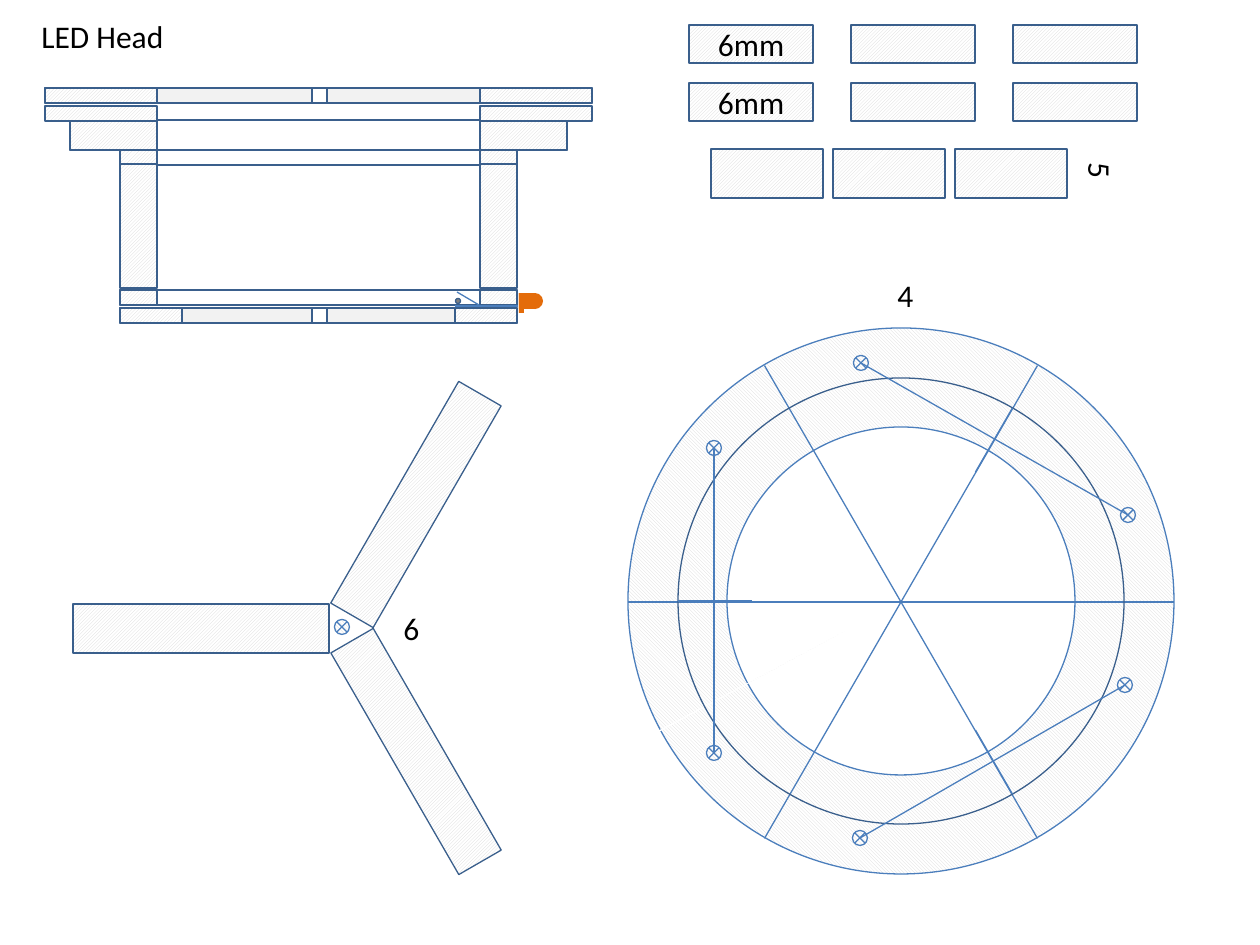
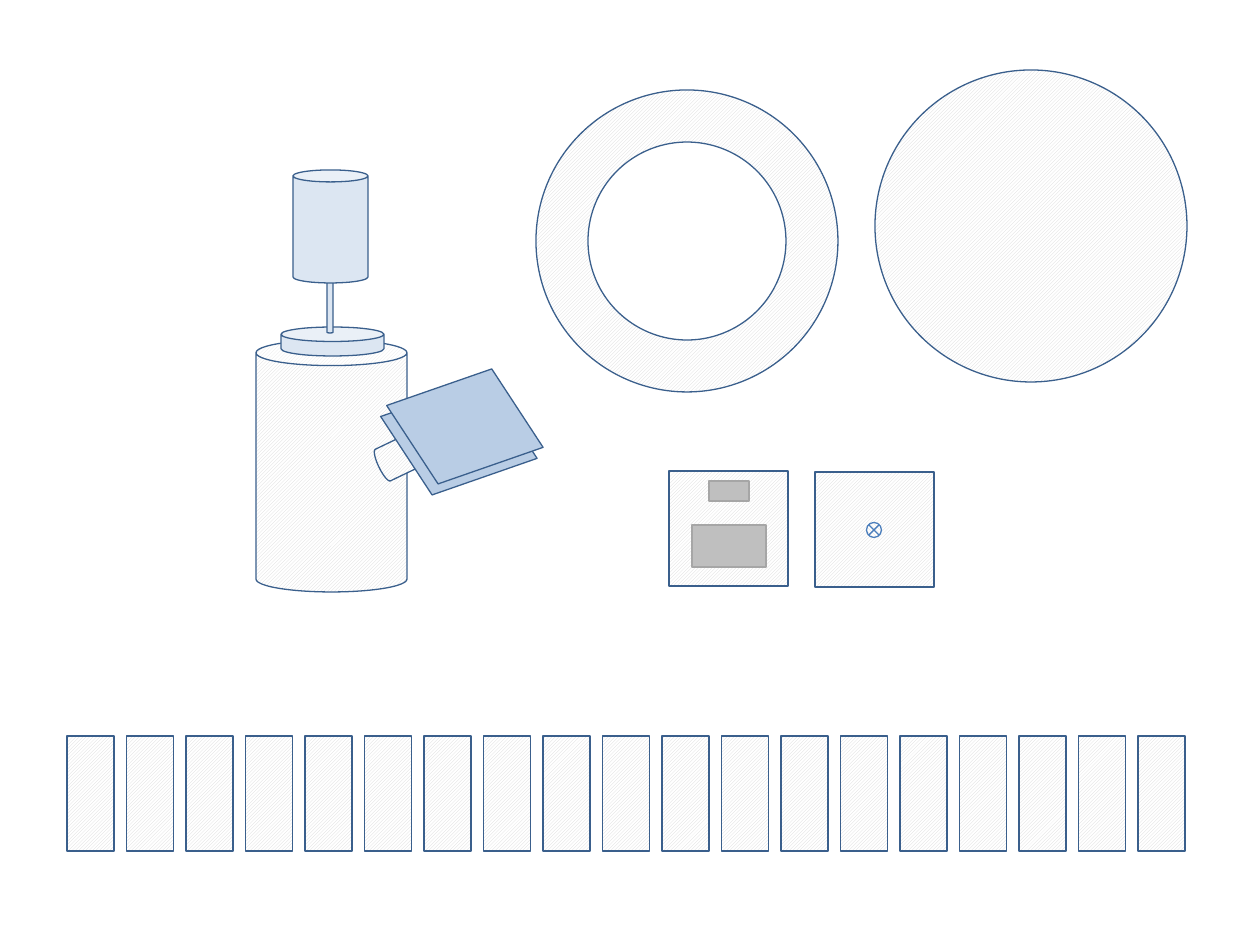
import math
import pptx
import pptx.util
import pptx.dml.color
import pptx.enum.dml
import pptx.enum.shapes
import pptx.enum.text
import pptx.oxml

PX = 914400 / 126
FONT = "Calibri"
HUES = {
    "white": "FFFFFF", "hatch": "D9D9D9", "pale": "F2F2F2", "edge": "3A5F8C",
    "wire": "4B7EBC", "ink": "000000", "lamp": "E46C0A", "dot": "808080",
    "ice": "DCE6F2", "panel": "B9CDE5", "pad": "BFBFBF", "rim": "A6A6A6",
}
DIAG = pptx.enum.dml.MSO_PATTERN
HATCH = {"up": DIAG.LIGHT_UPWARD_DIAGONAL, "down": DIAG.LIGHT_DOWNWARD_DIAGONAL}
KIND = pptx.enum.shapes.MSO_SHAPE
RECT, OVAL, CAN = KIND.RECTANGLE, KIND.OVAL, KIND.CAN


def px(n):
    return pptx.util.Emu(round(n * PX))


def hue(name):
    return pptx.dml.color.RGBColor.from_string(HUES[name])


def paint(fill, name):
    """Apply a hatch, a plain colour, or no fill."""
    if name in HATCH:
        fill.patterned()
        fill.pattern = HATCH[name]
        fill.fore_color.rgb = hue("hatch")
        fill.back_color.rgb = hue("white")
    elif name:
        fill.solid()
        fill.fore_color.rgb = hue(name)
    else:
        fill.background()


def write(frame, text):
    frame.text = text
    font = frame.paragraphs[0].runs[0].font
    font.name, font.size = FONT, pptx.util.Pt(18)
    font.color.rgb = hue("ink")


class Area:
    """A region of a slide; its pieces are placed from its corner."""

    def __init__(self, shapes, left, top, group=False):
        self.shapes = shapes.add_group_shape().shapes if group else shapes
        self.left, self.top = left, top

    def piece(self, kind, x, y, w, h, fill="up", line="edge", rot=0, adj=()):
        shape = self.shapes.add_shape(
            kind, px(self.left + x), px(self.top + y), px(w), px(h))
        shape.shadow.inherit = False
        shape.rotation = rot
        for i, value in enumerate(adj):
            shape.adjustments[i] = value
        paint(shape.fill, fill)
        if line:
            shape.line.color.rgb = hue(line)
            shape.line.width = pptx.util.Pt(0.75)
        else:
            shape.line.fill.background()
        return shape

    def lying(self, x, y, w, h):
        """An upright block turned on its side; w and h as seen."""
        return self.piece(RECT, x + (w - h) / 2, y + (h - w) / 2, h, w, rot=90)

    def disc(self, x, y, r, fill, line="edge", kind=OVAL, adj=()):
        return self.piece(kind, x - r, y - r, 2 * r, 2 * r, fill, line, adj=adj)

    def screw(self, x, y, fill="down"):
        self.disc(x, y, 7.5, fill, "wire", KIND.FLOWCHART_SUMMING_JUNCTION)

    def wire(self, x1, y1, x2, y2):
        line = self.shapes.add_connector(
            pptx.enum.shapes.MSO_CONNECTOR.STRAIGHT,
            px(self.left + x1), px(self.top + y1),
            px(self.left + x2), px(self.top + y2))
        line.line.color.rgb = hue("wire")
        line.line.width = pptx.util.Pt(0.75)
        line._element.spPr.append(pptx.oxml.parse_xml(
            '<a:effectLst xmlns:a='
            '"http://schemas.openxmlformats.org/drawingml/2006/main"/>'))

    def ray(self, x, y, deg, r1, r2):
        c, s = math.cos(math.radians(deg)), math.sin(math.radians(deg))
        self.wire(x + r1 * c, y + r1 * s, x + r2 * c, y + r2 * s)

    def label(self, text, x, y, w=42, rot=0):
        box = self.shapes.add_textbox(
            px(self.left + x), px(self.top + y), px(w), px(50))
        box.rotation = rot
        box.text_frame.word_wrap = False
        box.text_frame.auto_size = pptx.enum.text.MSO_AUTO_SIZE.SHAPE_TO_FIT_TEXT
        write(box.text_frame, text)


# Slide 1

def section(shapes, left, top):
    """Cross-section of the head, mirrored about its axis."""
    area = Area(shapes, left, top)
    span = 547

    def layer(y, h, inset, w, bar=False, fill=None):
        if bar:
            area.piece(RECT, inset, y, span - 2 * inset, h, fill)
        for x in (inset, span - inset - w):
            area.piece(RECT, x, y, w, h)

    layer(62, 15, 75, 37, True, "white")
    layer(220, 15, 75, 62, True, "pale")
    layer(32, 30, 25, 87, True)
    layer(18, 15, 0, 112)
    layer(0, 15, 0, 112, True, "pale")
    for y in (0, 220):
        area.piece(RECT, 267, y, 15, 15, "white")
    layer(202, 15, 75, 37, True, "white")
    layer(76, 124, 75, 37)

    # Lamp and switch
    lamp = Area(shapes, left + 474, top + 205, True)
    lamp.piece(OVAL, 8, 0, 16, 16, "lamp", None)
    lamp.piece(RECT, 0, 0, 15, 16, "lamp", None)
    lamp.piece(RECT, 0, 0, 5, 20, "lamp", None)
    area.wire(410, 218, 473, 218)
    area.wire(412, 204, 434, 217)
    area.disc(413, 213, 2.5, "dot")


def dial(shapes, left, top):
    """Ring with spokes, screws and chords."""
    area = Area(shapes, left, top, True)
    x, y = 273, 331
    for r, fill in ((273, "down"), (174, "white")):
        area.disc(x, y, r, fill, "wire", KIND.ARC, (91.14, 90.94))
    for deg in (0, 60, -60):
        area.ray(x, y + 1, deg, -273, 273)

    chords = [((-187, -153), (-187, 152)),
              ((-40, -238), (227, -86)),
              ((224, 84), (-41, 237))]
    for chord in chords:
        for dx, dy in chord:
            area.screw(x + dx, y + dy, None if dx == -40 else "down")
    area.disc(x, y, 223, None)
    for (x1, y1), (x2, y2) in chords:
        area.wire(x + x1, y + y1, x + x2, y + y2)
    for deg in (180, -60, 60):
        area.ray(x, y, deg, 149, 223)
    area.label("4", 257, 0)


def arms(shapes, left, top):
    """Three arms about one screw."""
    area = Area(shapes, left, top, True)
    for x, y, rot in ((0, 223, 0), (215, 99, -60), (215, 346, 60)):
        area.piece(RECT, x, y, 256, 49, rot=rot)
    area.screw(269, 246)
    area.label("6", 318, 222)


def trio(shapes, left, top, w, h, step, text=None):
    """A row of three lying blocks, the first with an optional size."""
    area = Area(shapes, left, top, True)
    blocks = [area.lying(i * step, 0, w, h) for i in range(3)]
    if text:
        frame = blocks[0].text_frame
        write(frame, text)
        frame.paragraphs[0].alignment = pptx.enum.text.PP_ALIGN.CENTER
        frame.vertical_anchor = pptx.enum.text.MSO_ANCHOR.MIDDLE
        blocks[0]._element.txBody.bodyPr.set("vert", "vert270")
    return area


# Slide 2

def tower(shapes, left, top):
    """Stacked cans with a tilted panel on a knob."""
    area = Area(shapes, left, top)
    area.piece(CAN, 0, 170, 151, 252, adj=[0.17])
    area.piece(CAN, 25, 157, 103, 29, "ice", adj=[0.5])
    area.piece(CAN, 71, 106, 6, 57, "ice")
    area.piece(CAN, 37, 0, 75, 113, "ice", adj=[0.16])
    area.piece(CAN, 145, 234, 35, 88, rot=64.4)
    for x, y in ((136, 222), (142, 211)):
        leaf = area.piece(KIND.PARALLELOGRAM, x, y, 134, 91, "panel", rot=-19.2)
        leaf._element.spPr.get_or_add_xfrm().set("flipH", "1")


def rings(shapes, left, top):
    """A ring beside a full disc."""
    Area(shapes, left, top).disc(495, 156, 156, "up")
    ring = Area(shapes, left, top, True)
    ring.disc(151, 171, 151, "up")
    ring.disc(151, 171, 99, "white")


def plates(shapes, left, top):
    """Two square plates: one with pads, one with a screw."""
    pads = Area(shapes, left, top, True)
    pads.piece(RECT, 0, 0, 119, 115)
    pads.piece(RECT, 23, 54, 74, 42, "pad", "rim")
    pads.piece(RECT, 40, 10, 40, 20, "pad", "rim")
    bolt = Area(shapes, left + 146, top + 1, True)
    bolt.piece(RECT, 0, 0, 119, 115)
    bolt.screw(59, 58)


def slats(shapes, left, top, width, count):
    """Equal slats spread over a width."""
    area = Area(shapes, left, top)
    w, h = 47, 115
    step = (width - w) / (count - 1)
    for i in range(count):
        area.piece(RECT, i * step, 0, w, h)


def main():
    deck = pptx.Presentation()
    deck.slide_width, deck.slide_height = px(1260), px(945)
    head, rig = (deck.slides.add_slide(deck.slide_layouts[6]).shapes
                 for _ in range(2))

    section(head, 45, 88)
    Area(head, 29, 11).label("LED Head", 0, 0, 149)
    dial(head, 628, 270)
    arms(head, 73, 381)
    trio(head, 711, 149, 112, 49, 122).label("5", 369, -3, rot=90)
    for top in (83, 25):
        trio(head, 689, top, 124, 38, 162, "6mm")

    tower(rig, 256, 170)
    rings(rig, 536, 70)
    plates(rig, 669, 471)
    slats(rig, 67, 736, 1118, 19)
    deck.save("out.pptx")


if __name__ == "__main__":
    main()
